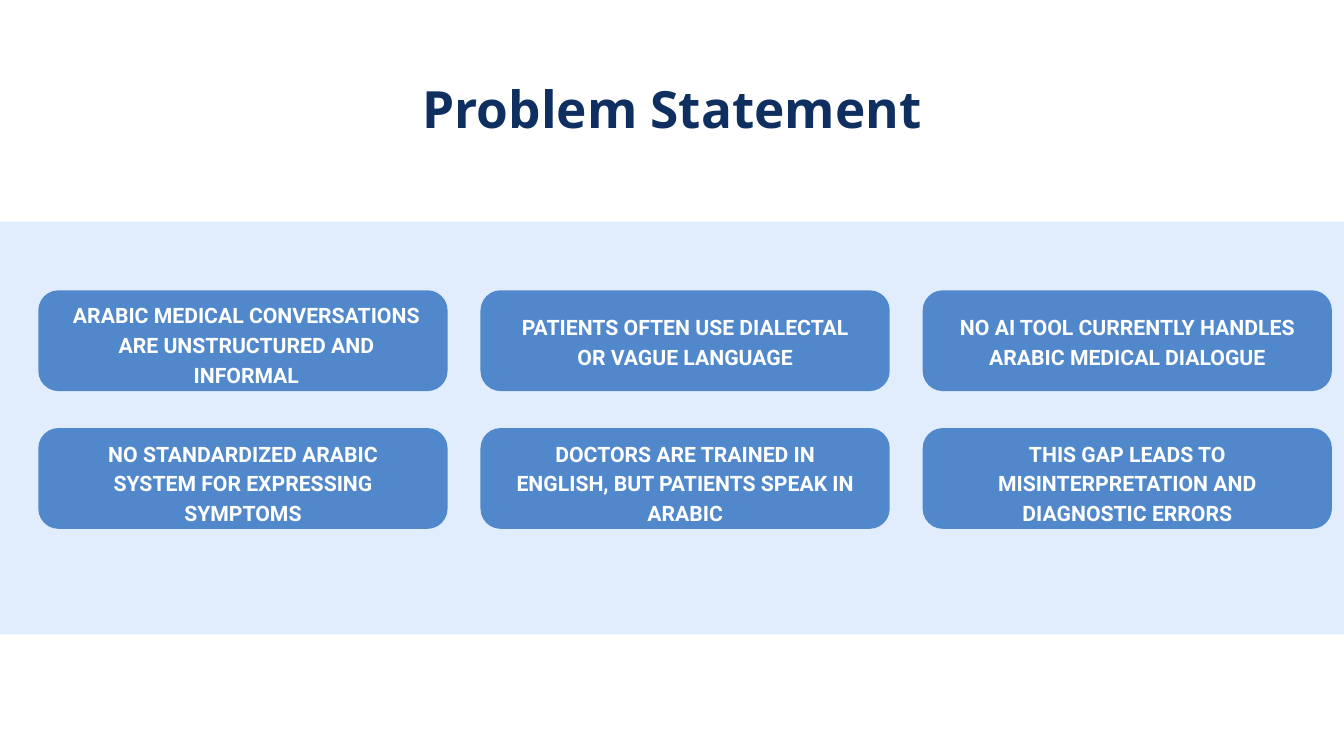
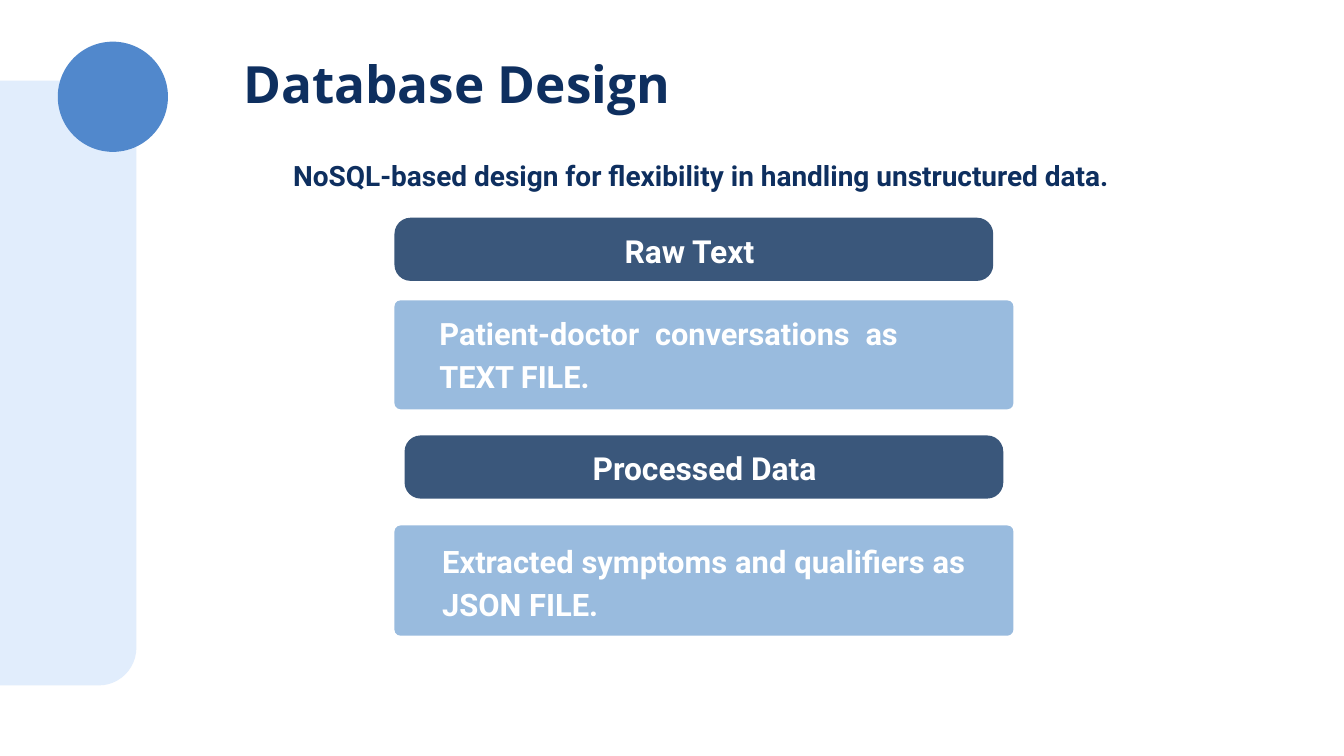
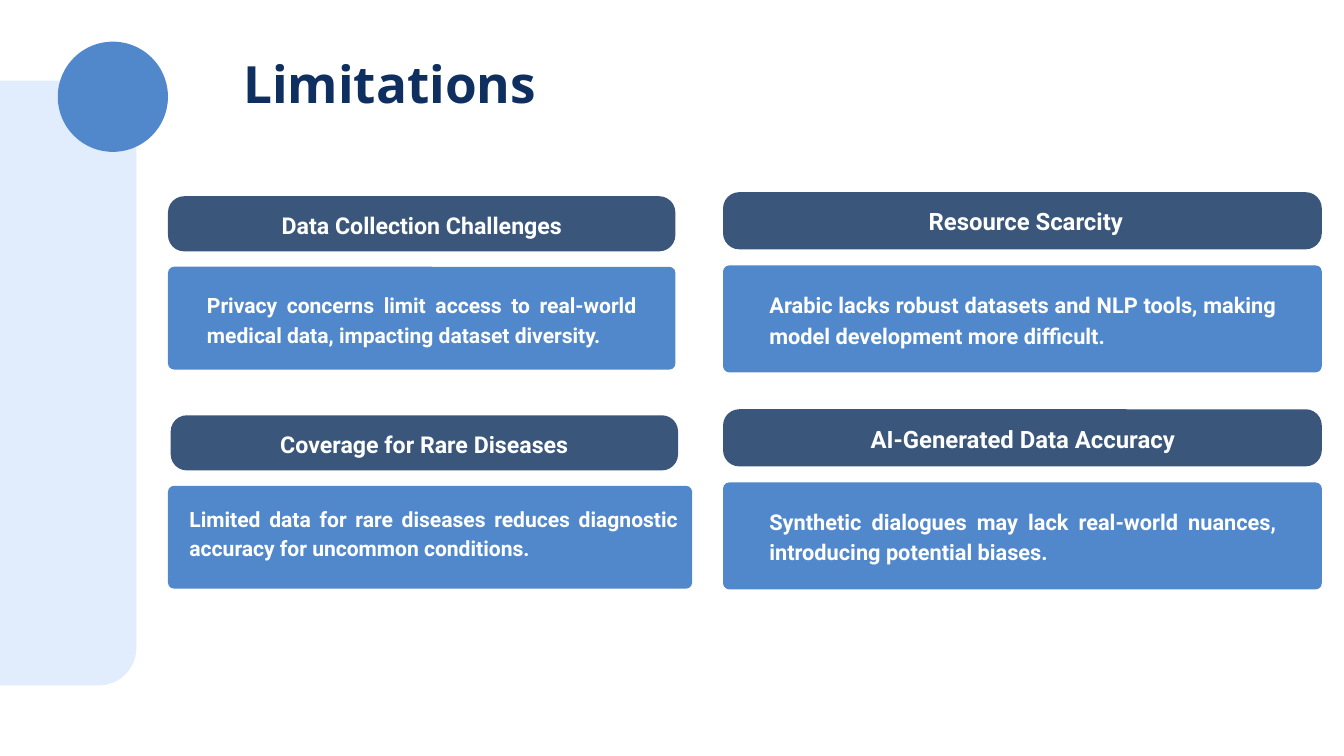
"""Build three slides: problem statement, database design and limitations."""
from dataclasses import dataclass

from pptx import Presentation
from pptx.dml.color import RGBColor
from pptx.enum.shapes import MSO_SHAPE as SHAPE
from pptx.enum.text import MSO_AUTO_SIZE as AUTO_SIZE, PP_ALIGN as ALIGN
from pptx.util import Inches, Pt


@dataclass(frozen=True)
class Theme:
    navy: str = "0E2F5F"
    slate: str = "3A577B"
    blue: str = "5188CC"
    sky: str = "99BBDE"
    pale: str = "E1EDFC"
    white: str = "FFFFFF"
    title_font: str = "Open Sans"
    body_font: str = "Roboto"
    title_size: float = 55
    title_leading: float = 69.8
    leading: float = 1.4
    card_size: float = 22.7
    lead_size: float = 30
    store_head_size: float = 34
    store_sizes: tuple = (32.9, 33.1)
    limit_head_sizes: tuple = (24.8, 25.6)
    limit_sizes: tuple = (22.6, 23.3)
    card_radius: float = 0.3
    bar_radius: float = 0.24
    panel_radius: float = 0.09
    tab_radius: float = 0.56


T = Theme()


def add_block(s, kind, at, fill, radius=0):
    sp = s.shapes.add_shape(kind, *map(Inches, at))
    sp.shadow.inherit = False
    sp.fill.solid()
    sp.fill.fore_color.rgb = RGBColor.from_string(fill)
    sp.line.fill.background()
    if radius:
        sp.adjustments[0] = radius / min(at[2:])


def add_text(s, at, text, size, color=T.white, align=ALIGN.CENTER, title=False):
    tf = s.shapes.add_textbox(*map(Inches, at)).text_frame
    tf.margin_left = tf.margin_top = tf.margin_right = tf.margin_bottom = 0
    tf.word_wrap = True
    tf.auto_size = AUTO_SIZE.SHAPE_TO_FIT_TEXT
    tf.text = text
    p = tf.paragraphs[0]
    p.alignment = align
    p.line_spacing = Pt(T.title_leading if title else round(size * T.leading, 1))
    r = p.runs[0]
    r.font.name = T.title_font if title else T.body_font
    r.font.size = Pt(size)
    r.font.bold = True
    r.font.color.rgb = RGBColor.from_string(color)


prs = Presentation()
prs.slide_width, prs.slide_height = Inches(20), Inches(11.25)
blank = prs.slide_layouts[6]

s = prs.slides.add_slide(blank)
add_block(s, SHAPE.RECTANGLE, (0, 3.3, 20, 6.14), T.pale)
add_text(s, (5.69, 1.09, 8.62, 0.95), "Problem Statement", T.title_size, T.navy, title=True)
problems = [
    [("ARABIC MEDICAL CONVERSATIONS ARE UNSTRUCTURED AND INFORMAL", 0.5, 0.12, 1.31),
     ("PATIENTS OFTEN USE DIALECTAL OR VAGUE LANGUAGE", 0.45, 0.3, 0.85),
     ("NO AI TOOL CURRENTLY HANDLES ARABIC MEDICAL DIALOGUE", 0.45, 0.3, 0.85)],
    [("NO STANDARDIZED ARABIC SYSTEM FOR EXPRESSING SYMPTOMS", 0.45, 0.13, 1.31),
     ("DOCTORS ARE TRAINED IN ENGLISH, BUT PATIENTS SPEAK IN ARABIC", 0.45, 0.13, 1.31),
     ("THIS GAP LEADS TO MISINTERPRETATION AND DIAGNOSTIC ERRORS", 0.45, 0.13, 1.31)],
]
for row, cards in enumerate(problems):
    for col, (text, dx, dy, height) in enumerate(cards):
        x, y = 0.57 + 6.58 * col, 4.32 + 2.05 * row
        add_block(s, SHAPE.ROUNDED_RECTANGLE, (x, y, 6.09, 1.5), T.blue, T.card_radius)
        add_text(s, (x + dx, y + dy, 5.19, height), text, T.card_size)

database, limitations = prs.slides.add_slide(blank), prs.slides.add_slide(blank)
for s, title, width in [(database, "Database Design", 7.87), (limitations, "Limitations", 5.52)]:
    add_block(s, SHAPE.ROUNDED_RECTANGLE, (-1.64, 1.2, 3.67, 9), T.pale, T.tab_radius)
    add_block(s, SHAPE.OVAL, (0.86, 0.62, 1.64, 1.64), T.blue)
    add_text(s, (3.62, 0.73, width, 0.95), title, T.title_size, T.navy, ALIGN.LEFT, True)

add_text(database, (3.62, 2.27, 13.63, 0.54),
         "NoSQL-based design for flexibility in handling unstructured data.", T.lead_size, T.navy)

sections = [
    (database, T.sky, "Raw Text", T.store_head_size,
     (5.87, 3.24, 8.91, 0.94), (7.39, 3.35, 5.74, 0.65),
     "Patient-doctor conversations as TEXT FILE.", T.store_sizes[0],
     (5.87, 4.47, 9.21, 1.62), (6.54, 4.6, 6.82, 1.26)),
    (database, T.sky, "Processed Data", T.store_head_size,
     (6.02, 6.48, 8.91, 0.94), (6.03, 6.59, 8.91, 0.65),
     "Extracted symptoms and qualifiers as JSON FILE.", T.store_sizes[1],
     (5.87, 7.82, 9.21, 1.64), (6.58, 7.98, 7.79, 1.25)),
    (limitations, T.blue, "Data Collection Challenges", T.limit_head_sizes[0],
     (2.5, 2.92, 7.55, 0.82), (3.41, 3.07, 5.74, 0.46),
     "Privacy concerns limit access to real-world medical data, impacting dataset diversity.",
     T.limit_sizes[0], (2.5, 3.97, 7.55, 1.53), (3.08, 4.29, 6.39, 1.29)),
    (limitations, T.blue, "Resource Scarcity", T.limit_head_sizes[1],
     (10.76, 2.86, 8.91, 0.85), (11.15, 3.01, 8.23, 0.49),
     "Arabic lacks robust datasets and NLP tools, making model development more difficult.",
     T.limit_sizes[1], (10.76, 3.95, 8.91, 1.59), (11.45, 4.28, 7.54, 1.34)),
    (limitations, T.blue, "Coverage for Rare Diseases", T.limit_head_sizes[0],
     (2.54, 6.18, 7.55, 0.82), (2.83, 6.33, 6.97, 0.46),
     "Limited data for rare diseases reduces diagnostic accuracy for uncommon conditions.",
     T.limit_sizes[0], (2.5, 7.23, 7.8, 1.53), (2.82, 7.47, 7.27, 1.29)),
    (limitations, T.blue, "AI-Generated Data Accuracy", T.limit_head_sizes[1],
     (10.76, 6.09, 8.91, 0.85), (11.83, 6.25, 6.78, 0.49),
     "Synthetic dialogues may lack real-world nuances, introducing potential biases.",
     T.limit_sizes[1], (10.76, 7.18, 8.91, 1.59), (11.45, 7.5, 7.54, 0.89)),
]
for s, fill, head, head_size, bar, head_at, body, body_size, panel, body_at in sections:
    add_block(s, SHAPE.ROUNDED_RECTANGLE, bar, T.slate, T.bar_radius)
    add_block(s, SHAPE.ROUNDED_RECTANGLE, panel, fill, T.panel_radius)
    add_text(s, head_at, head, head_size)
    add_text(s, body_at, body, body_size, align=ALIGN.JUSTIFY)

prs.save("out.pptx")
